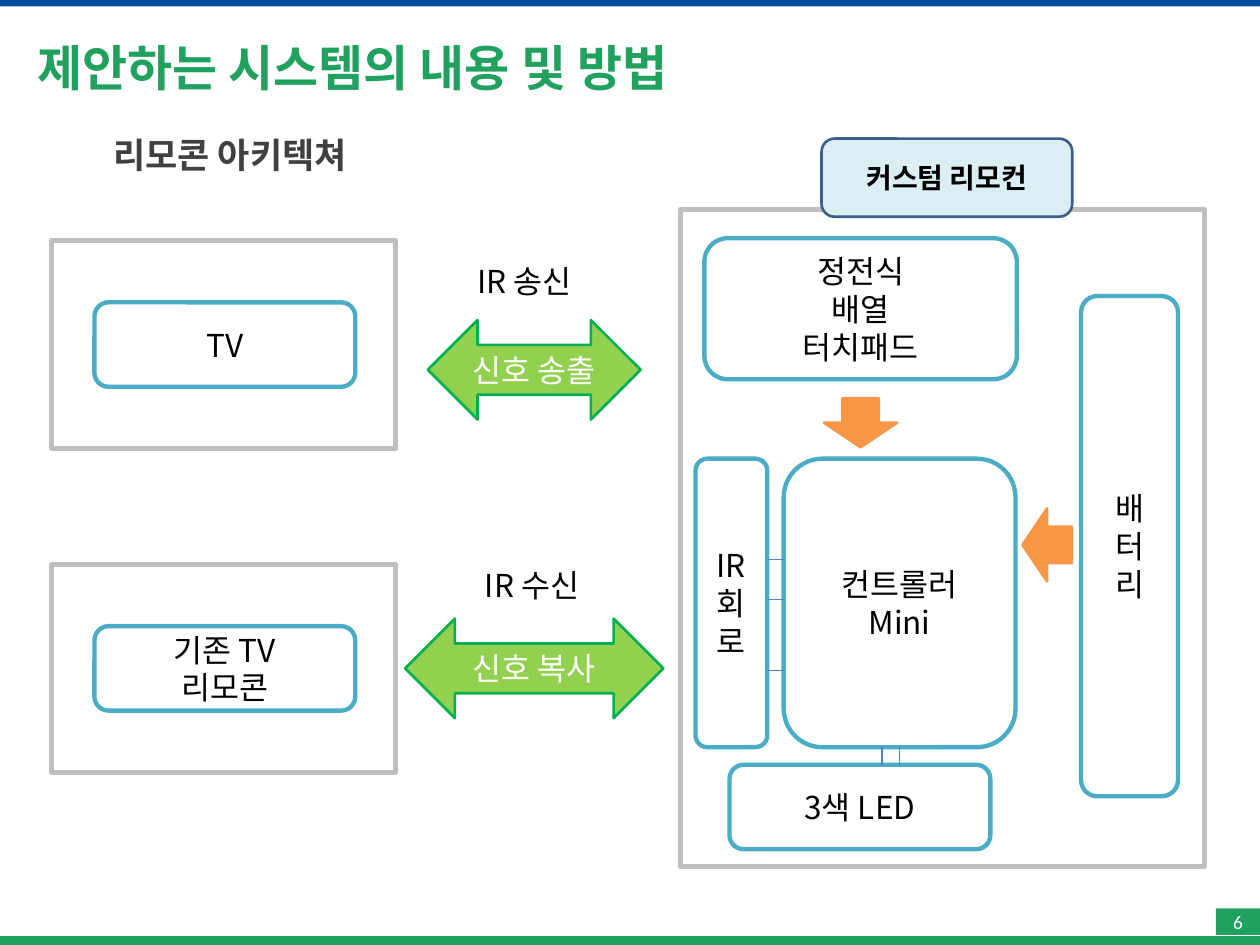
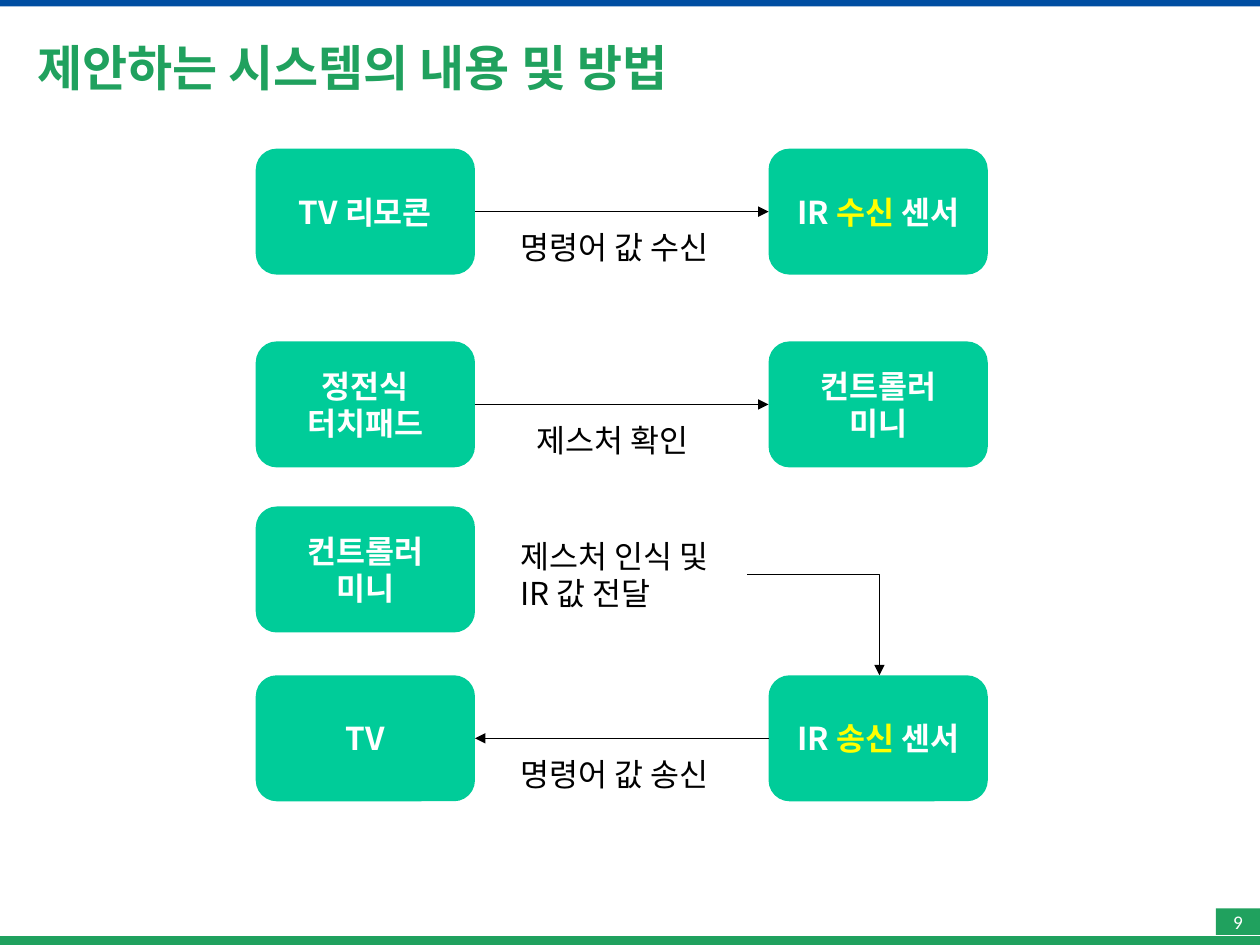
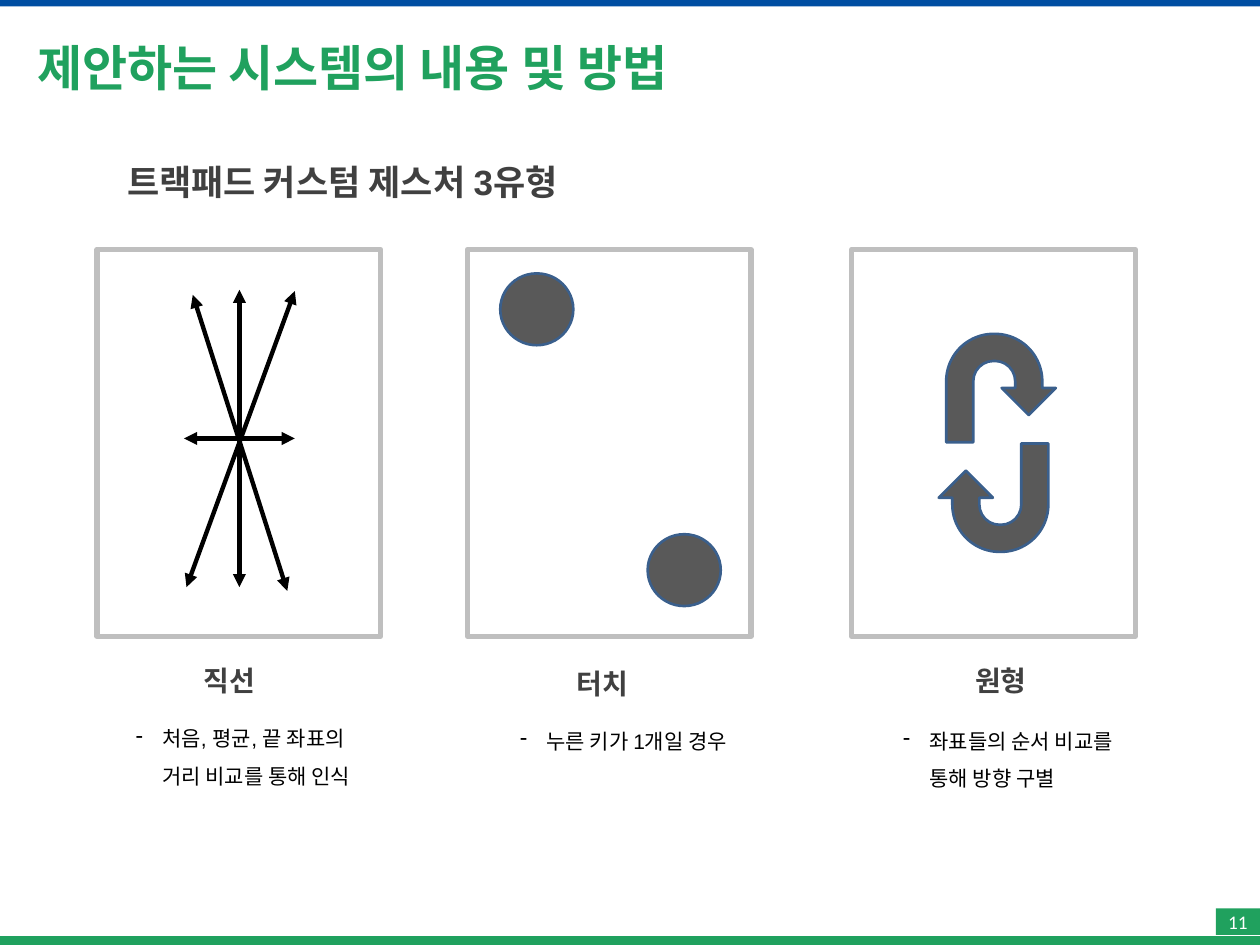
from lxml.etree import SubElement
from pptx import Presentation
from pptx.dml.color import RGBColor
from pptx.enum.shapes import MSO_CONNECTOR as LINK, MSO_SHAPE as FORM
from pptx.enum.text import MSO_ANCHOR as ANCHOR, PP_ALIGN as ALIGN
from pptx.oxml.ns import qn
from pptx.util import Inches, Pt

GREEN, BLUE, NAVY = "20A15E", "004EA2", "3A5F8C"
BLACK, WHITE, YELLOW = "000000", "FFFFFF", "FFFF00"
GRAY, DARK, SLATE = "BFBFBF", "404040", "595959"
TEAL, MINT, ORANGE = "4BACC6", "00CC99", "F79646"
NOTO, ARIAL, CALIBRI = "Noto Sans CJK KR", "Arial", "Calibri"
TITLE = "제안하는 시스템의 내용 및 방법"


def paint(color, tone):
    color.rgb = RGBColor.from_string(tone)


def write(frame, lines, size=18, tone=BLACK, bold=False, face=NOTO,
          align=ALIGN.CENTER, dash=False):
    for i, line in enumerate(lines.split("\n")):
        para = frame.add_paragraph() if i else frame.paragraphs[0]
        para.alignment = align
        for k, part in enumerate(line.split("|")):
            run = para.add_run()
            run.text = part
            if k % 2:
                paint(run.font.color, YELLOW)
        if dash:
            para.line_spacing = 1.5
            props = para._p.get_or_add_pPr()
            props.set("marL", str(Inches(0.31)))
            props.set("indent", str(Inches(-0.21)))
            SubElement(props, qn("a:buChar")).set("char", "-")
        font = para.font
        font.size, font.bold, font.name = Pt(size), bold, face
        paint(font.color, tone)
        base = para._p.pPr.find(qn("a:defRPr"))
        SubElement(base, qn("a:ea")).set("typeface", NOTO)


def label(slide, box, lines, wrap=True, anchor=ANCHOR.TOP, **style):
    frame = slide.shapes.add_textbox(*map(Inches, box)).text_frame
    frame.word_wrap = wrap
    frame.vertical_anchor = anchor
    write(frame, lines, align=ALIGN.LEFT, **style)


def block(slide, form, box, fill=None, line=None, width=1.5, lines="", **style):
    shape = slide.shapes.add_shape(form, *map(Inches, box))
    shape.shadow.inherit = False
    if fill:
        shape.fill.solid()
        paint(shape.fill.fore_color, fill)
    else:
        shape.fill.background()
    if line:
        paint(shape.line.color, line)
        shape.line.width = Pt(width)
    else:
        shape.line.fill.background()
    if lines:
        shape.text_frame.vertical_anchor = ANCHOR.MIDDLE
        write(shape.text_frame, lines, **style)
    return shape


def wire(slide, start, end, tone=BLACK, width=0.79, tips=(), bent=False):
    kind = LINK.ELBOW if bent else LINK.STRAIGHT
    link = slide.shapes.add_connector(kind, *map(Inches, start + end))
    paint(link.line.color, tone)
    link.line.width = Pt(width)
    props = link._element.spPr
    if bent:
        props.find(qn("a:prstGeom")).set("prst", "bentConnector2")
    for tip in tips:
        SubElement(link.line._ln, qn(f"a:{tip}End")).set("type", "triangle")
    SubElement(props, qn("a:effectLst"))


def start_slide(deck, number):
    slide = deck.slides.add_slide(deck.slide_layouts[6])
    block(slide, FORM.RECTANGLE, (0, 7.43, 10, 0.07), GREEN)
    block(slide, FORM.RECTANGLE, (0, 0, 10, 0.05), BLUE)
    label(slide, (0.2, 0.2, 9.61, 0.67), TITLE, anchor=ANCHOR.MIDDLE,
          size=28, tone=GREEN, bold=True, face=CALIBRI)
    badge = block(slide, FORM.RECTANGLE, (9.65, 7.21, 0.35, 0.21), GREEN,
                  lines=str(number), size=11, tone=WHITE, face=CALIBRI)
    frame = badge.text_frame
    frame.margin_left = frame.margin_right = 0
    frame.margin_top = frame.margin_bottom = 0
    return slide


def heading(slide, left, top, lines):
    label(slide, (left, top, 9.98, 0.44), lines, anchor=ANCHOR.MIDDLE,
          size=20, tone=DARK, bold=True, face=ARIAL)


def panel(slide, box):
    block(slide, FORM.RECTANGLE, box, line=GRAY, width=3)


def part(slide, box, lines):
    block(slide, FORM.ROUNDED_RECTANGLE, box, line=TEAL, width=2.5, lines=lines)


def device(slide, left, top, lines):
    panel(slide, (left, top, 2.73, 1.65))
    part(slide, (left + 0.34, top + 0.49, 2.07, 0.67), lines)


def signal(slide, mid, top, width, lines):
    block(slide, FORM.LEFT_RIGHT_ARROW, (mid - width / 2, top, width, 0.79),
          "92D050", "00B050", lines=lines, tone=WHITE)


def remote(slide, left, top):
    panel(slide, (left, top, 4.16, 5.22))
    parts = [
        (0.19, 0.23, 2.48, 1.12, "정전식\n배열\n터치패드"),
        (0.82, 1.98, 1.84, 2.29, "컨트롤러\nMini"),
        (3.18, 0.69, 0.77, 3.97, "배\n터\n리"),
        (0.12, 1.98, 0.57, 2.29, "IR\n회로"),
        (0.39, 4.41, 2.07, 0.67, "3색 LED"),
    ]
    for x, y, width, height, lines in parts:
        part(slide, (left + x, top + y, width, height), lines)
    for x, y, turn in [(1.14, 1.5, 0), (2.62, 2.47, 90)]:
        arrow = block(slide, FORM.DOWN_ARROW, (left + x, top + y, 0.58, 0.39),
                      ORANGE, ORANGE)
        arrow.rotation = turn
    for y in (2.78, 3.1, 3.66):
        wire(slide, (left + 0.69, top + y), (left + 0.82, top + y), "4F81BD")
    for x in (1.6, 1.74):
        wire(slide, (left + x, top + 4.27), (left + x, top + 4.41), "4F81BD")
    block(slide, FORM.ROUNDED_RECTANGLE, (left + 1.12, top - 0.56, 1.99, 0.62),
          "DBEEF4", NAVY, lines="커스텀 리모컨", size=16, bold=True)


def build_parts(deck):
    slide = start_slide(deck, 6)
    heading(slide, 0.8, 1.01, "리모콘 아키텍쳐")
    device(slide, 0.41, 1.91, "TV")
    device(slide, 0.41, 4.48, "기존 TV\n리모콘")
    signal(slide, 4.24, 2.54, 1.69, "신호 송출")
    signal(slide, 4.24, 4.91, 2.05, "신호 복사")
    label(slide, (3.69, 2.03, 1.02, 0.4), "IR 송신", wrap=False)
    label(slide, (3.75, 4.44, 1.02, 0.4), "IR 수신", wrap=False)
    remote(slide, 5.4, 1.66)


def step(slide, left, top, lines):
    block(slide, FORM.ROUNDED_RECTANGLE, (left, top, 1.74, 1), MINT,
          lines=lines, tone=WHITE, bold=True)


def flow(slide, top, source, target, note, inset=0.26, back=False):
    left, right = 2.03, 6.1
    step(slide, left, top, source)
    step(slide, right, top, target)
    ends = [(left + 1.74, top + 0.5), (right, top + 0.5)]
    if back:
        ends.reverse()
    wire(slide, *ends, tips=["tail"])
    label(slide, (left + 1.74 + inset, top + 0.58, 1.9, 0.4), note, wrap=False)


def build_flow(deck):
    slide = start_slide(deck, 9)
    flow(slide, 1.18, "TV 리모콘", "IR |수신| 센서", "명령어 값 수신")
    flow(slide, 2.71, "정전식\n터치패드", "컨트롤러\n미니", "제스처 확인", 0.39)
    flow(slide, 5.36, "TV", "IR |송신| 센서", "명령어 값 송신", back=True)
    step(slide, 2.03, 4.02, "컨트롤러\n미니")
    label(slide, (4.03, 4.21, 1.9, 0.71), "제스처 인식 및\nIR 값 전달", wrap=False)
    wire(slide, (5.93, 4.56), (6.98, 5.36), tips=["tail"], bent=True)


def draw_lines(slide, left, top):
    rays = [(1.13, 0.32, 1.13, 2.68), (0.69, 1.5, 1.57, 1.5),
            (1.57, 0.33, 0.71, 2.68), (0.76, 0.36, 1.51, 2.71)]
    for x, y, far, low in rays:
        wire(slide, (left + x, top + y), (left + far, top + low),
             width=2.5, tips=["head", "tail"])


def draw_dots(slide, left, top):
    for x, y in [(0.26, 0.19), (1.43, 2.26)]:
        block(slide, FORM.OVAL, (left + x, top + y, 0.58, 0.57), SLATE, NAVY)


def draw_turns(slide, left, top):
    for x, y, turn in [(0.75, 0.67, 0), (0.69, 1.54, 180)]:
        arrow = block(slide, FORM.U_TURN_ARROW, (left + x, top + y, 0.87, 0.86),
                      SLATE, NAVY)
        arrow.rotation = turn


def card(slide, left, top, draw, name, name_at, note, note_at, width):
    panel(slide, (left, top, 2.25, 3.07))
    draw(slide, left, top)
    x, y = name_at
    label(slide, (left + x, top + y, 0.67, 0.37), name,
          size=16, tone=DARK, bold=True, face=ARIAL)
    x, y = note_at
    label(slide, (left + x, top + y, width, 0.67), note,
          size=12, face=ARIAL, dash=True)


def build_cards(deck):
    slide = start_slide(deck, 11)
    heading(slide, 0.91, 1.22, "트랙패드 커스텀 제스처 3유형")
    cards = [
        (0.77, draw_lines, "직선", (0.75, 3.24),
         "처음, 평균, 끝 좌표의 거리 비교를 통해 인식", (0.11, 3.63), 2.28),
        (3.71, draw_dots, "터치", (0.77, 3.26),
         "누른 키가 1개일 경우", (0.22, 3.65), 2.17),
        (6.76, draw_turns, "원형", (0.88, 3.24),
         "좌표들의 순서 비교를 통해 방향 구별", (0.21, 3.65), 2.02),
    ]
    for left, *rest in cards:
        card(slide, left, 1.98, *rest)


def main():
    deck = Presentation()
    deck.slide_width, deck.slide_height = Inches(10), Inches(7.5)
    build_parts(deck)
    build_flow(deck)
    build_cards(deck)
    deck.save("out.pptx")


if __name__ == "__main__":
    main()
